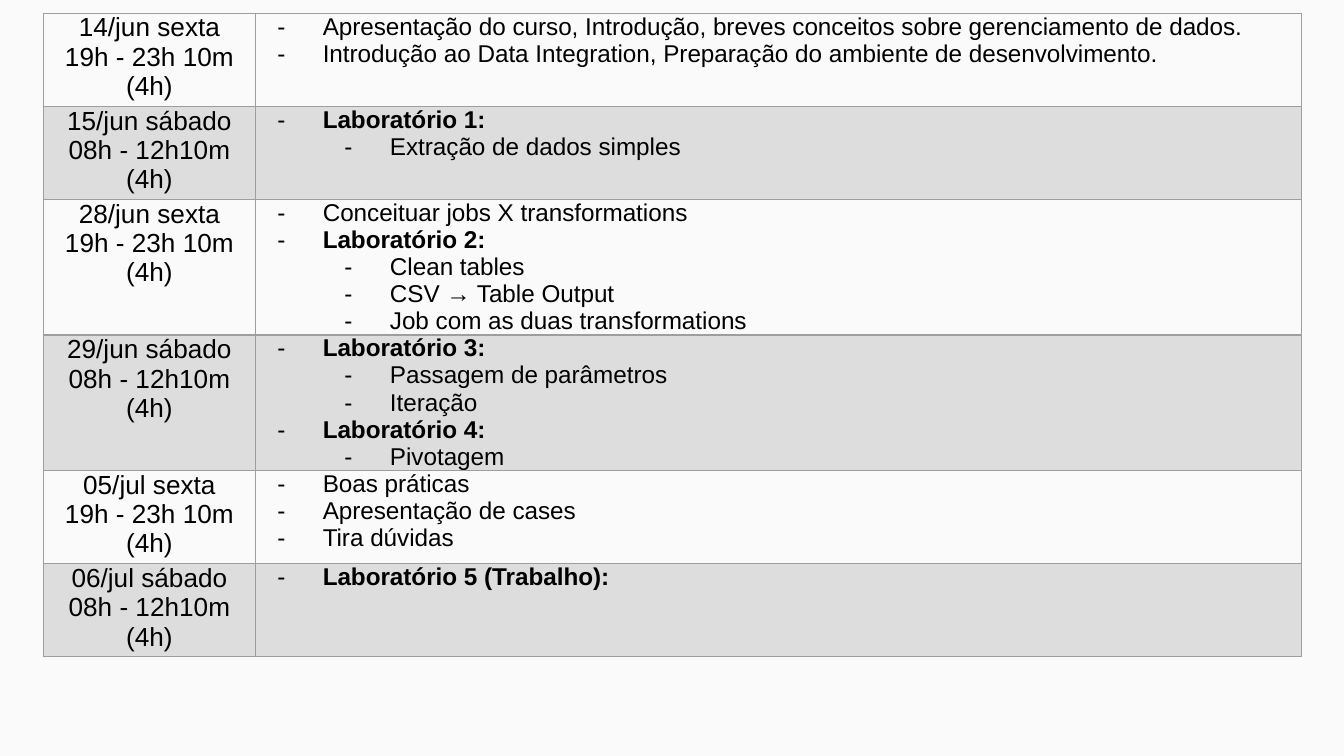
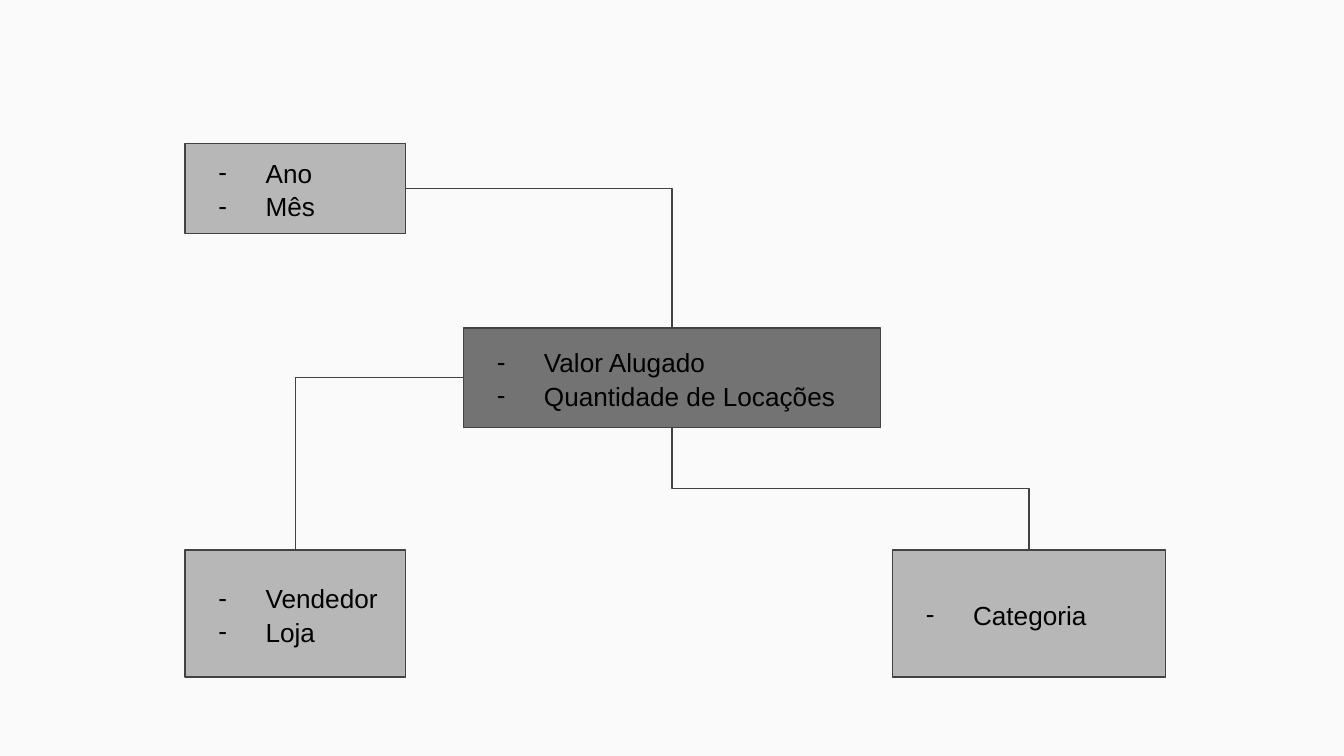
from dataclasses import dataclass

from lxml.etree import SubElement
from pptx import Presentation
from pptx.dml.color import RGBColor
from pptx.enum.shapes import MSO_SHAPE
from pptx.enum.text import MSO_ANCHOR, PP_ALIGN
from pptx.oxml.ns import qn
from pptx.util import Cm, Pt


@dataclass(frozen=True)
class Theme:
    font: str = "Arial"
    background: str = "FAFAFA"
    text: str = "000000"
    band: str = "DDDDDD"
    grid: str = "9E9E9E"
    fact: str = "737373"
    dimension: str = "B7B7B7"
    outline: str = "424242"
    body: int = 14
    topic: int = 13
    line: float = 0.75


@dataclass(frozen=True)
class Box:
    """A rectangle in centimetres."""
    x: float
    y: float
    w: float
    h: float

    @property
    def right(self):
        return self.x + self.w

    @property
    def bottom(self):
        return self.y + self.h

    @property
    def cx(self):
        return self.x + self.w / 2

    @property
    def cy(self):
        return self.y + self.h / 2


FRIDAY = "19h - 23h 10m"
SATURDAY = "08h - 12h10m"
# Each topic is (text, level, bold).
SCHEDULE = [
    ("14/jun sexta", FRIDAY, [
        ("Apresentação do curso, Introdução, breves conceitos sobre gerenciamento de dados.", 0, False),
        ("Introdução ao Data Integration, Preparação do ambiente de desenvolvimento.", 0, False)]),
    ("15/jun sábado", SATURDAY, [
        ("Laboratório 1:", 0, True),
        ("Extração de dados simples", 1, False)]),
    ("28/jun sexta", FRIDAY, [
        ("Conceituar jobs X transformations", 0, False),
        ("Laboratório 2:", 0, True),
        ("Clean tables", 1, False),
        ("CSV → Table Output", 1, False),
        ("Job com as duas transformations", 1, False)]),
    ("29/jun sábado", SATURDAY, [
        ("Laboratório 3:", 0, True),
        ("Passagem de parâmetros", 1, False),
        ("Iteração", 1, False),
        ("Laboratório 4:", 0, True),
        ("Pivotagem", 1, False)]),
    ("05/jul sexta", FRIDAY, [
        ("Boas práticas", 0, False),
        ("Apresentação de cases", 0, False),
        ("Tira dúvidas", 0, False)]),
    ("06/jul sábado", SATURDAY, [
        ("Laboratório 5 (Trabalho):", 0, True)]),
]


class Deck:
    def __init__(self, theme):
        self.theme = theme
        self.prs = Presentation()
        self.prs.slide_width, self.prs.slide_height = Cm(25.4), Cm(14.29)
        self.s = None

    def new_slide(self):
        self.s = self.prs.slides.add_slide(self.prs.slide_layouts[6])
        fill = self.s.background.fill
        fill.solid()
        fill.fore_color.rgb = RGBColor.from_string(self.theme.background)

    def run(self, p, text, size, bold=False):
        r = p.add_run()
        r.text = text
        r.font.name, r.font.size, r.font.bold = self.theme.font, Pt(size), bold
        r.font.color.rgb = RGBColor.from_string(self.theme.text)

    def lines(self, p, lines, size):
        """Write lines into one paragraph, with line breaks of the text's size."""
        for i, line in enumerate(lines):
            if i:
                p.add_line_break()
            self.run(p, line, size)
        for br in p._p.findall(qn("a:br")):
            rPr = SubElement(br, qn("a:rPr"), sz=str(size * 100))
            SubElement(rPr, qn("a:latin"), typeface=self.theme.font)

    def bullets(self, tf, items, size, hanging, spacing=1.0):
        for i, (text, level, bold) in enumerate(items):
            p = tf.add_paragraph() if i else tf.paragraphs[0]
            p.alignment, p.level, p.line_spacing = PP_ALIGN.LEFT, level, spacing
            pPr = p._p.get_or_add_pPr()
            pPr.set("marL", str(Cm(1.27 * (level + 1))))
            pPr.set("indent", str(-Cm(hanging)))
            color = SubElement(pPr, qn("a:buClr"))
            SubElement(color, qn("a:srgbClr"), val=self.theme.text)
            SubElement(pPr, qn("a:buFont"), typeface=self.theme.font)
            SubElement(pPr, qn("a:buChar"), char="-")
            self.run(p, text, size, bold)

    def style_cell(self, cell, banded):
        cell.margin_left = cell.margin_right = cell.margin_top = cell.margin_bottom = 0
        tcPr = cell._tc.get_or_add_tcPr()
        for side in ("lnL", "lnR", "lnT", "lnB"):
            ln = SubElement(tcPr, qn(f"a:{side}"), w=str(Pt(self.theme.line)))
            fill = SubElement(ln, qn("a:solidFill"))
            SubElement(fill, qn("a:srgbClr"), val=self.theme.grid)
        if banded:
            cell.fill.solid()
            cell.fill.fore_color.rgb = RGBColor.from_string(self.theme.band)
        else:
            cell.fill.background()

    def schedule(self, x, y, widths, row_height, sessions):
        frame = self.s.shapes.add_table(
            len(sessions), len(widths), Cm(x), Cm(y),
            Cm(sum(widths)), Cm(row_height * len(sessions)))
        table = frame.table
        table.first_row = table.horz_banding = False
        for column, width in zip(table.columns, widths):
            column.width = Cm(width)
        for i, (day, hours, topics) in enumerate(sessions):
            table.rows[i].height = Cm(row_height)
            when, what = table.cell(i, 0), table.cell(i, 1)
            for cell in (when, what):
                self.style_cell(cell, banded=i % 2 == 1)
            p = when.text_frame.paragraphs[0]
            p.alignment = PP_ALIGN.CENTER
            self.lines(p, [day, hours, "(4h)"], self.theme.body)
            self.bullets(what.text_frame, topics, self.theme.topic, hanging=0.86)

    def outline(self, sp):
        sp.shadow.inherit = False
        sp.line.color.rgb = RGBColor.from_string(self.theme.outline)
        sp.line.width = Pt(self.theme.line)

    def entity(self, box, color, fields):
        sp = self.s.shapes.add_shape(
            MSO_SHAPE.RECTANGLE, Cm(box.x), Cm(box.y), Cm(box.w), Cm(box.h))
        self.outline(sp)
        sp.fill.solid()
        sp.fill.fore_color.rgb = RGBColor.from_string(color)
        tf = sp.text_frame
        tf.word_wrap = True
        tf.vertical_anchor = MSO_ANCHOR.MIDDLE
        tf.margin_left = tf.margin_right = tf.margin_top = tf.margin_bottom = Cm(0.25)
        self.bullets(tf, [(field, 0, False) for field in fields],
                     self.theme.body, hanging=0.89, spacing=1.08)

    def elbow(self, *points):
        """Draw an open line through points given in centimetres."""
        start, *rest = [(Cm(x), Cm(y)) for x, y in points]
        builder = self.s.shapes.build_freeform(*start)
        builder.add_line_segments(rest, close=False)
        sp = builder.convert_to_shape()
        self.outline(sp)
        sp.fill.background()


def schedule_slide(deck):
    deck.new_slide()
    deck.schedule(0.82, 0.25, [4.01, 19.76], 1.76, SCHEDULE)


def model_slide(deck):
    deck.new_slide()
    rental = Box(8.76, 6.2, 7.88, 1.88)
    period = Box(3.5, 2.71, 4.17, 1.7)
    seller = Box(3.5, 10.4, 4.17, 2.4)
    category = Box(16.87, 10.4, 5.16, 2.4)

    deck.entity(rental, deck.theme.fact, ["Valor Alugado", "Quantidade de Locações"])
    for box, fields in ((period, ["Ano", "Mês"]),
                        (seller, ["Vendedor", "Loja"]),
                        (category, ["Categoria"])):
        deck.entity(box, deck.theme.dimension, fields)

    deck.elbow((period.right, period.cy), (rental.cx, period.cy), (rental.cx, rental.y))
    deck.elbow((seller.cx, seller.y), (seller.cx, rental.cy), (rental.x, rental.cy))
    middle = (rental.bottom + category.y) / 2
    deck.elbow((category.cx, category.y), (category.cx, middle),
               (rental.cx, middle), (rental.cx, rental.bottom))


def main():
    deck = Deck(Theme())
    schedule_slide(deck)
    model_slide(deck)
    deck.prs.save("out.pptx")


if __name__ == "__main__":
    main()
